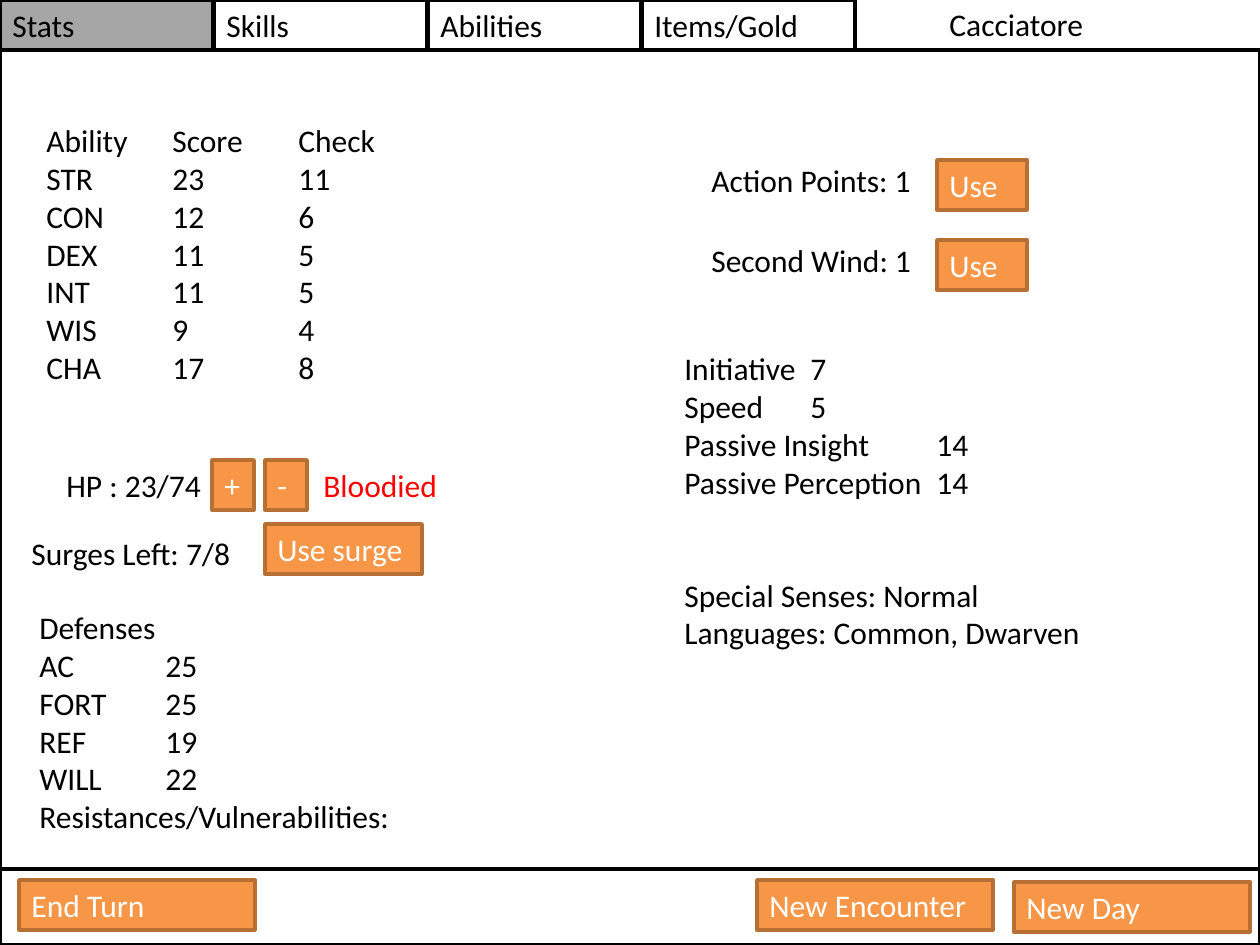
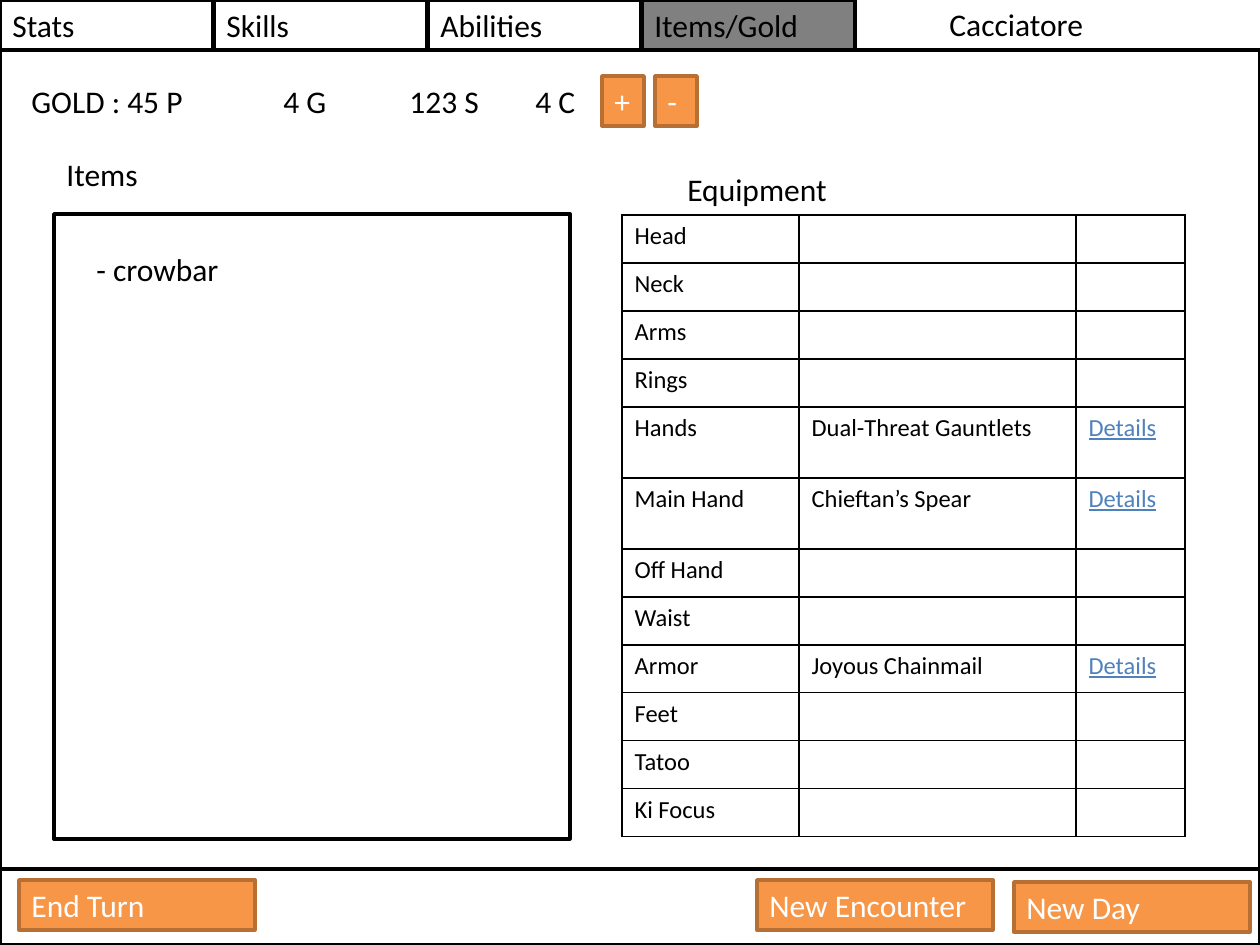
from dataclasses import dataclass

from lxml import etree
from pptx import Presentation
from pptx.dml.color import RGBColor
from pptx.enum.shapes import MSO_SHAPE
from pptx.enum.text import MSO_ANCHOR, MSO_AUTO_SIZE, PP_ALIGN
from pptx.oxml.ns import qn
from pptx.slide import Slide
from pptx.table import _Cell
from pptx.text.text import TextFrame, _Paragraph
from pptx.util import Emu, Pt

RECT = MSO_SHAPE.RECTANGLE
TOP = MSO_ANCHOR.TOP
LEFT = PP_ALIGN.LEFT
GROW = MSO_AUTO_SIZE.SHAPE_TO_FIT_TEXT
SCALE = 914400 / 126
WIDE, HIGH = 1260, 945
LINE = 50
BLANK = 6
STOP, STOPS = 126, 4


@dataclass(frozen=True)
class Theme:
    font: str = "Calibri"
    body: int = 18
    small: int = 14
    gap: int = 43
    edge: int = 2
    grid: int = 1
    ink: str = "000000"
    paper: str = "FFFFFF"
    button: str = "F79646"
    rim: str = "B76F34"
    alert: str = "FF0000"
    link: str = "4F81BD"
    stats: str = "A6A6A6"
    items: str = "808080"


@dataclass(frozen=True)
class Box:
    x: int
    y: int
    w: int
    h: int = LINE


@dataclass(frozen=True)
class Label:
    text: str
    box: Box
    color: str = Theme.ink


@dataclass(frozen=True)
class Button:
    text: str
    box: Box


@dataclass(frozen=True)
class Gear:
    slot: str
    item: str = ""
    high: int = 48


THEME = Theme()
TABS = ("Stats", "Skills", "Abilities", "Items/Gold")
TAB_STEP, TAB_WIDE = 214, 213
BODY = Box(0, 50, WIDE, 819)
FOOTER = Box(0, 869, WIDE, 76)
NAME = Label("Cacciatore", Box(937, -1, 323))
ACTIONS = (
    Button("End Turn", Box(19, 880, 236)),
    Button("New Encounter", Box(757, 880, 236)),
    Button("New Day", Box(1014, 882, 236)),
)

SCORES = "\n".join((
    "Ability\tScore\tCheck", "STR\t23\t11", "CON\t12\t6", "DEX\t11\t5",
    "INT\t11\t5", "WIS\t9\t4", "CHA\t17\t8",
))
GUARDS = "\n".join((
    "Defenses", "AC\t25", "FORT\t25", "REF\t19", "WILL\t22",
    "Resistances/Vulnerabilities:",
))
TRAITS = "\n".join((
    "Initiative\t7", "Speed\t5", "Passive Insight\t14",
    "Passive Perception\t14", "Special Senses: Normal",
    "Languages: Common, Dwarven",
))
SENSES = 4

STATS = (
    Label(SCORES, Box(34, 115, 397, 280)),
    Label("HP : 23/74", Box(54, 460, 267)),
    Label("Bloodied", Box(311, 460, 198), THEME.alert),
    Label("Surges Left: 7/8", Box(19, 528, 234)),
    Label(GUARDS, Box(27, 602, 394, 242)),
    Label("Action Points: 1", Box(699, 155, 476)),
    Label("Second Wind: 1", Box(699, 235, 476)),
)
MOVES = (
    Button("+", Box(212, 460, 42)),
    Button("-", Box(265, 460, 42)),
    Button("Use surge", Box(265, 524, 157)),
    Button("Use", Box(937, 160, 90)),
    Button("Use", Box(937, 240, 90)),
)
GOODS = (
    Label("GOLD : 45 P\t4 G\t123 S\t4 C", Box(19, 76, 949)),
    Label("Items", Box(54, 149, 357)),
    Label("- crowbar", Box(84, 244, 480)),
    Label("Equipment", Box(675, 164, 490)),
)
COINS = (
    Button("+", Box(602, 76, 42)),
    Button("-", Box(655, 76, 42)),
)
GEAR = (
    Gear("Head"), Gear("Neck"), Gear("Arms"), Gear("Rings"),
    Gear("Hands", "Dual-Threat Gauntlets", 71),
    Gear("Main Hand", "Chieftan\u2019s Spear", 71),
    Gear("Off Hand"), Gear("Waist"), Gear("Armor", "Joyous Chainmail"),
    Gear("Feet"), Gear("Tatoo"), Gear("Ki Focus"),
)
COLUMNS = (177, 277, 109)


def px(size: int) -> Emu:
    return Emu(round(size * SCALE))


def place(box: Box) -> tuple[Emu, Emu, Emu, Emu]:
    return px(box.x), px(box.y), px(box.w), px(box.h)


def tint(code: str) -> RGBColor:
    return RGBColor.from_string(code)


def set_stops(para: _Paragraph) -> None:
    stops = etree.SubElement(para._p.get_or_add_pPr(), qn("a:tabLst"))
    for count in range(1, STOPS + 1):
        etree.SubElement(stops, qn("a:tab"), pos=str(px(count * STOP)), algn="l")


def write(frame: TextFrame, text: str, *, color: str = THEME.ink,
          size: int = THEME.body, under: bool = False) -> None:
    frame.word_wrap = True
    frame.vertical_anchor = TOP
    for spot, words in enumerate(text.split("\n")):
        para = frame.add_paragraph() if spot else frame.paragraphs[0]
        para.alignment = LEFT
        if "\t" in words:
            set_stops(para)
        run = para.add_run()
        run.text = words
        font = run.font
        font.name = THEME.font
        font.size = Pt(size)
        font.underline = under
        font.color.rgb = tint(color)


def panel(slide: Slide, box: Box, *, text: str = "", fill: str = THEME.paper,
          line: str = THEME.ink, color: str = THEME.ink) -> None:
    shape = slide.shapes.add_shape(RECT, *place(box))
    shape.shadow.inherit = False
    shape.fill.solid()
    shape.fill.fore_color.rgb = tint(fill)
    shape.line.color.rgb = tint(line)
    shape.line.width = Pt(THEME.edge)
    if text:
        write(shape.text_frame, text, color=color)
        shape.text_frame.auto_size = GROW


def label(slide: Slide, part: Label) -> TextFrame:
    frame = slide.shapes.add_textbox(*place(part.box)).text_frame
    write(frame, part.text, color=part.color)
    frame.auto_size = GROW
    return frame


def button(slide: Slide, part: Button) -> None:
    panel(slide, part.box, text=part.text, fill=THEME.button,
          line=THEME.rim, color=THEME.paper)


def border(cell: _Cell) -> None:
    props = cell._tc.get_or_add_tcPr()
    for spot, side in enumerate(("a:lnL", "a:lnR", "a:lnT", "a:lnB")):
        line = etree.Element(qn(side), w=str(Pt(THEME.grid)))
        fill = etree.SubElement(line, qn("a:solidFill"))
        etree.SubElement(fill, qn("a:srgbClr"), val=THEME.ink)
        props.insert(spot, line)


def fill_cell(cell: _Cell, text: str, color: str, under: bool) -> None:
    cell.fill.background()
    border(cell)
    if text:
        write(cell.text_frame, text, color=color, size=THEME.small, under=under)
    else:
        end = cell.text_frame.paragraphs[0]._p.get_or_add_endParaRPr()
        end.set("sz", str(THEME.small * 100))


def gear_table(slide: Slide) -> None:
    box = Box(622, 215, sum(COLUMNS), sum(gear.high for gear in GEAR))
    table = slide.shapes.add_table(len(GEAR), len(COLUMNS), *place(box)).table
    table.first_row = False
    table.horz_banding = False
    for column, wide in zip(table.columns, COLUMNS):
        column.width = px(wide)
    for row, gear in zip(table.rows, GEAR):
        row.height = px(gear.high)
        slot, item, more = row.cells
        fill_cell(slot, gear.slot, THEME.ink, False)
        fill_cell(item, gear.item, THEME.ink, False)
        fill_cell(more, "Details" if gear.item else "", THEME.link, True)


def sheet(deck, active: str, shade: str) -> Slide:
    slide = deck.slides.add_slide(deck.slide_layouts[BLANK])
    panel(slide, BODY)
    for spot, text in enumerate(TABS):
        panel(slide, Box(spot * TAB_STEP, 0, TAB_WIDE), text=text,
              fill=shade if text == active else THEME.paper)
    label(slide, NAME)
    panel(slide, FOOTER)
    for part in ACTIONS:
        button(slide, part)
    return slide


def stats_page(deck) -> None:
    slide = sheet(deck, "Stats", THEME.stats)
    for part in STATS:
        label(slide, part)
    traits = label(slide, Label(TRAITS, Box(672, 343, 530, 318)))
    traits.paragraphs[SENSES].space_before = Pt(THEME.gap)
    for part in MOVES:
        button(slide, part)


def items_page(deck) -> None:
    slide = sheet(deck, "Items/Gold", THEME.items)
    panel(slide, Box(54, 214, 516, 625))
    for part in GOODS:
        label(slide, part)
    for part in COINS:
        button(slide, part)
    gear_table(slide)


def main() -> None:
    deck = Presentation()
    deck.slide_width, deck.slide_height = px(WIDE), px(HIGH)
    stats_page(deck)
    items_page(deck)
    deck.save("out.pptx")


main()
